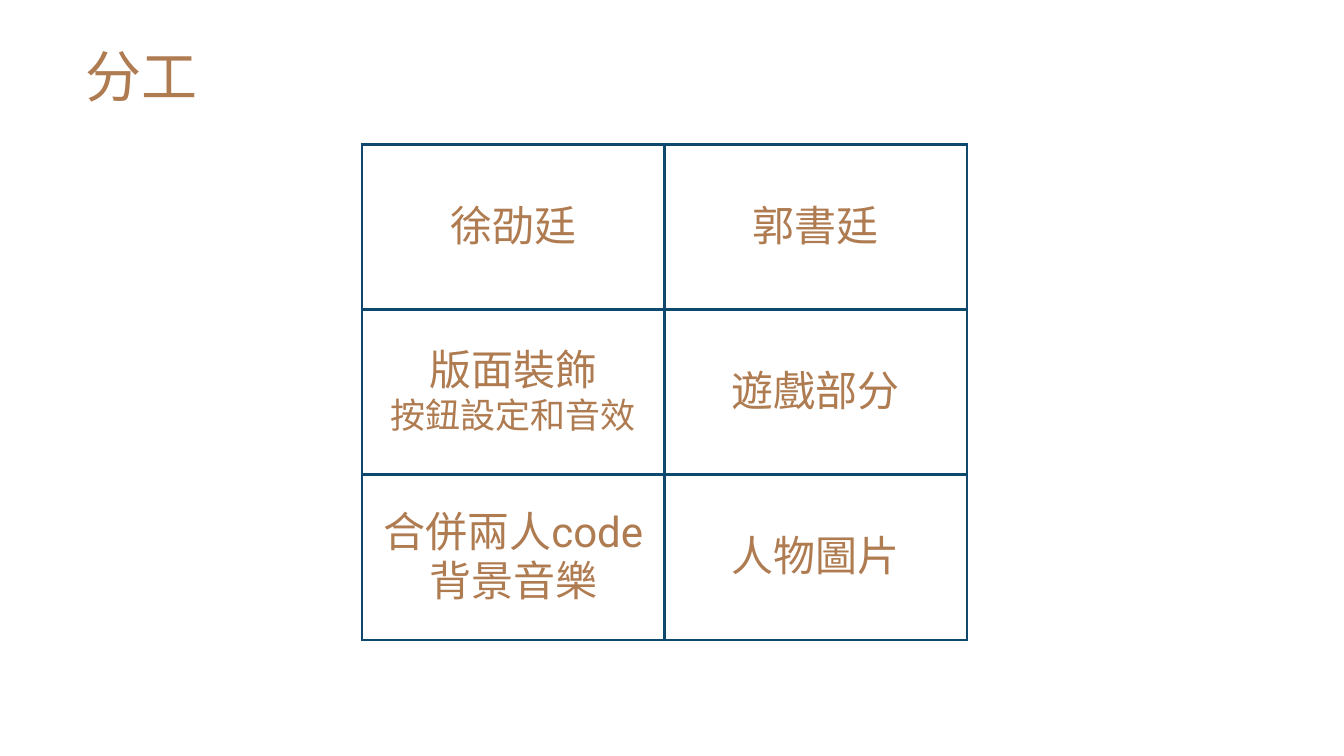
from lxml import etree
from pptx import Presentation
from pptx.dml.color import RGBColor
from pptx.enum.text import MSO_ANCHOR, PP_ALIGN
from pptx.oxml.ns import qn
from pptx.util import Inches, Pt

LEFT, CENTER = PP_ALIGN.LEFT, PP_ALIGN.CENTER
MIDDLE = MSO_ANCHOR.MIDDLE
TITLE_ONLY = 5


def color(value):
    return RGBColor.from_string(value)


class SlideBuilder:
    font = "Roboto"
    ink = "AF7B51"
    line = "0F486F"
    line_width = Pt(2.25)

    def __init__(self, deck):
        self.page = deck.slides.add_slide(deck.slide_layouts[TITLE_ONLY])

    def set_text(self, frame, lines, align):
        """Fill a text frame with (text, size) lines."""
        frame.text = "\n".join(text for text, _ in lines)
        for para, (_, size) in zip(frame.paragraphs, lines):
            para.alignment = align
            for span in para.runs:
                span.font.size = Pt(size)
                span.font.name = self.font
                span.font.color.rgb = color(self.ink)
                properties = span._r.get_or_add_rPr()
                etree.SubElement(properties, qn("a:ea"), typeface=self.font)

    def title(self, text, left, top, width, height, size):
        box = self.page.shapes.title
        box.left, box.top = Inches(left), Inches(top)
        box.width, box.height = Inches(width), Inches(height)
        box.text_frame.vertical_anchor = MIDDLE
        self.set_text(box.text_frame, [(text, size)], LEFT)

    def border(self, cell):
        properties = cell._tc.get_or_add_tcPr()
        for index, side in enumerate(("a:lnL", "a:lnR", "a:lnT", "a:lnB")):
            edge = etree.Element(qn(side), w=str(int(self.line_width)))
            fill = etree.SubElement(edge, qn("a:solidFill"))
            etree.SubElement(fill, qn("a:srgbClr"), val=self.line)
            properties.insert(index, edge)

    def table(self, rows, left, top, column_width, row_height):
        row_count, column_count = len(rows), len(rows[0])
        table = self.page.shapes.add_table(
            row_count, column_count, Inches(left), Inches(top),
            Inches(column_width * column_count),
            Inches(row_height * row_count)).table
        table.first_row = table.horz_banding = False
        for column in table.columns:
            column.width = Inches(column_width)
        for row, contents in zip(table.rows, rows):
            row.height = Inches(row_height)
            for cell, lines in zip(row.cells, contents):
                cell.fill.background()
                cell.vertical_anchor = MIDDLE
                cell.margin_left = cell.margin_right = Inches(0.1)
                cell.margin_top = cell.margin_bottom = Inches(0.1)
                self.set_text(cell.text_frame, lines, CENTER)
                self.border(cell)


def main():
    deck = Presentation()
    deck.slide_width, deck.slide_height = Inches(13.33), Inches(7.5)
    slide = SlideBuilder(deck)

    # Title
    slide.title("分工", 0.75, 0, 4, 1.5, size=40)

    # Division of work: one column per person
    slide.table([
        [[("徐劭廷", 30)], [("郭書廷", 30)]],
        [[("版面裝飾", 30), ("按鈕設定和音效", 25)], [("遊戲部分", 30)]],
        [[("合併兩人code", 30), ("背景音樂", 30)], [("人物圖片", 30)]],
    ], left=3.59, top=1.43, column_width=3, row_height=1.64)

    deck.save("out.pptx")


if __name__ == "__main__":
    main()
